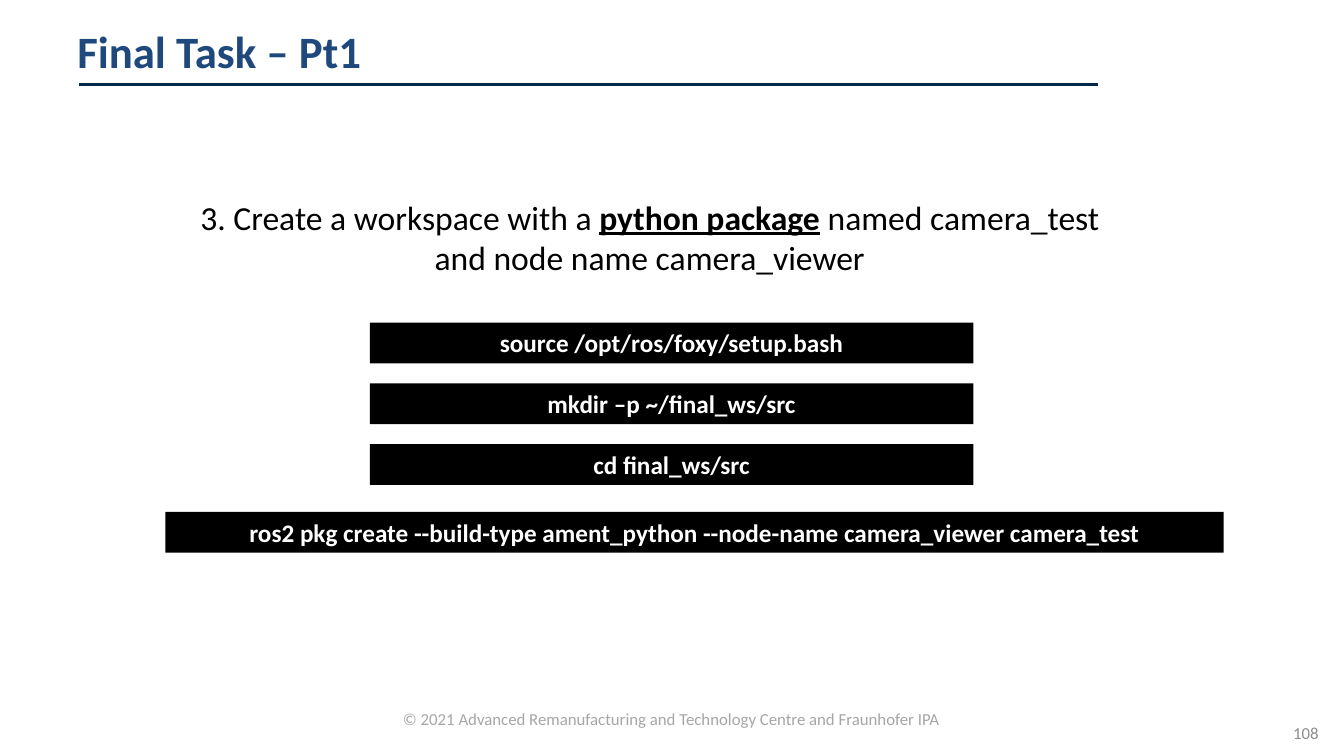
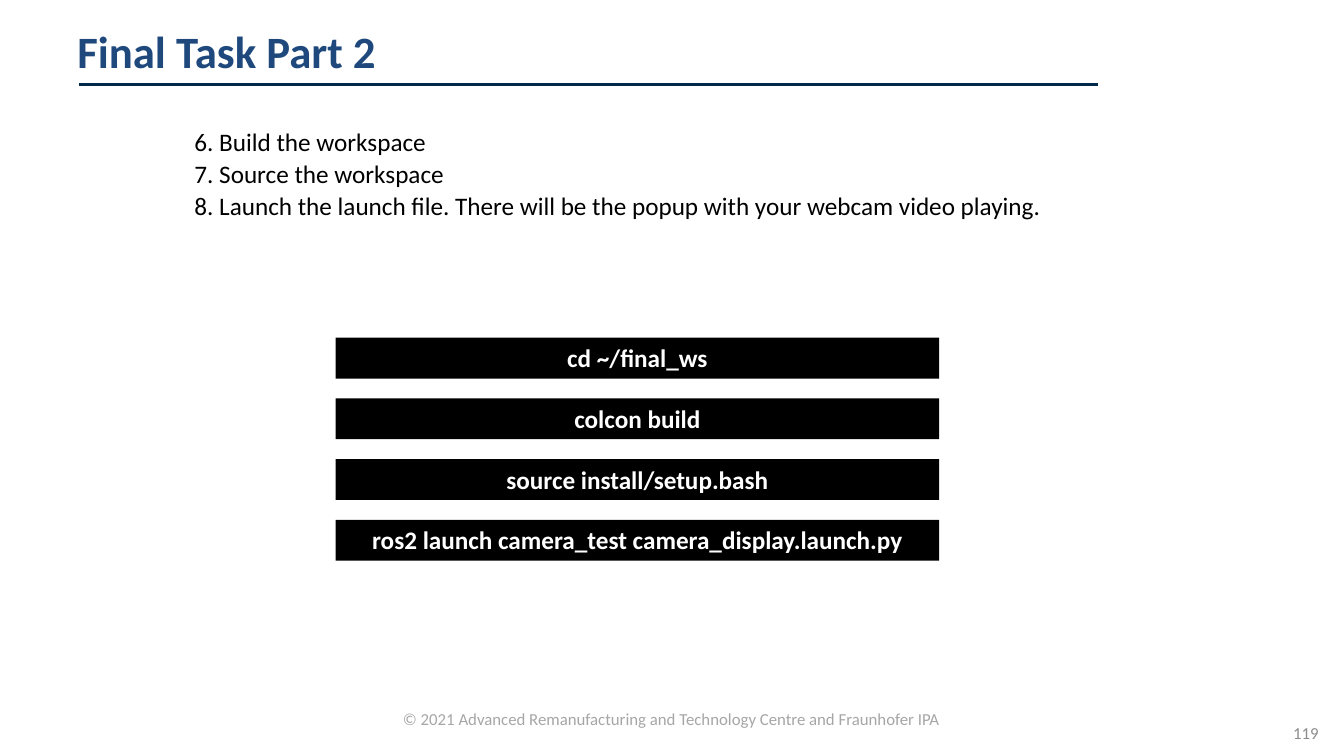
from dataclasses import dataclass

from lxml import etree
from pptx import Presentation
from pptx.dml.color import RGBColor
from pptx.enum.shapes import MSO_CONNECTOR, MSO_SHAPE
from pptx.enum.text import MSO_ANCHOR, PP_ALIGN
from pptx.oxml.ns import qn
from pptx.util import Cm, Pt

LEFT, CENTER, RIGHT = PP_ALIGN.LEFT, PP_ALIGN.CENTER, PP_ALIGN.RIGHT
TOP, MIDDLE = MSO_ANCHOR.TOP, MSO_ANCHOR.MIDDLE
RECT, STRAIGHT = MSO_SHAPE.RECTANGLE, MSO_CONNECTOR.STRAIGHT


@dataclass(frozen=True)
class Theme:
    font: str = "Calibri"
    title: RGBColor = RGBColor(0x1F, 0x49, 0x7D)
    rule: RGBColor = RGBColor(0x02, 0x29, 0x4A)
    ink: RGBColor = RGBColor(0, 0, 0)
    paper: RGBColor = RGBColor(0xFF, 0xFF, 0xFF)
    footer: RGBColor = RGBColor(0xA6, 0xA6, 0xA6)
    number: RGBColor = RGBColor(0x8C, 0x8C, 0x8C)
    title_size: int = 32
    task_size: int = 24
    body_size: int = 18
    small_size: int = 12


THEME = Theme()
FOOTER = "© 2021 Advanced Remanufacturing and Technology Centre and Fraunhofer IPA"
BAR_WIDTH, BAR_HEIGHT, BAR_PITCH = 15.21, 1.03, 1.53


def set_attrs(obj, values):
    for name, value in values.items():
        setattr(obj, name, value)


def write(sp, paragraphs, size, color, bold=False, align=LEFT, anchor=TOP, **spacing):
    tf = sp.text_frame
    set_attrs(tf, {"word_wrap": True, "vertical_anchor": anchor})
    for i, runs in enumerate(paragraphs):
        p = tf.add_paragraph() if i else tf.paragraphs[0]
        set_attrs(p, {"alignment": align, **spacing})
        for text, extra in runs:
            r = p.add_run()
            r.text = text
            set_attrs(r.font, {"name": THEME.font, "size": Pt(size), "bold": bold, **extra})
            r.font.color.rgb = color


def plain(*lines):
    return [[(line, {})] for line in lines]


def add_text(s, box, paragraphs, size, color, **style):
    sp = s.shapes.add_textbox(*map(Cm, box))
    write(sp, paragraphs, size, color, **style)


def add_rule(s, left, right, y):
    sp = s.shapes.add_connector(STRAIGHT, Cm(left), Cm(y), Cm(right), Cm(y))
    sp.line.color.rgb = THEME.rule
    sp.line.width = Pt(1.5)
    etree.SubElement(sp._element.spPr, qn("a:effectLst"))


def add_command(s, left, top, command, width=BAR_WIDTH):
    sp = s.shapes.add_shape(RECT, *map(Cm, (left, top, width, BAR_HEIGHT)))
    sp.shadow.inherit = False
    sp.fill.solid()
    sp.fill.fore_color.rgb = THEME.ink
    sp.line.fill.background()
    write(sp, plain(command), THEME.body_size, THEME.paper, bold=True, align=CENTER)


def add_commands(s, left, top, commands):
    for i, command in enumerate(commands):
        add_command(s, left, top + i * BAR_PITCH, command)


def add_slide(prs, title, number):
    s = prs.slides.add_slide(prs.slide_layouts[6])
    add_rule(s, 2, 27.66, 2.13)
    add_text(s, (1.8, 17.73, 30.25, 0.77), plain(FOOTER), THEME.small_size,
             THEME.footer, align=CENTER)
    add_text(s, (1.7, 0.43, 25.96, 1.7), plain(title), THEME.title_size,
             THEME.title, bold=True, anchor=MIDDLE)
    add_text(s, (31.83, 18.14, 1.65, 0.64), plain(str(number)), THEME.small_size,
             THEME.number, align=RIGHT, anchor=MIDDLE)
    return s


def build_workspace_slide(prs):
    s = add_slide(prs, "Final Task – Pt1", 108)
    task = [
        ("3. Create a workspace with a ", {}),
        ("python package", {"bold": True, "underline": True}),
        (" named camera_test and node name camera_viewer", {}),
    ]
    add_text(s, (4.5, 4.83, 23.75, 2.31), [task], THEME.task_size, THEME.ink, align=CENTER)
    add_commands(s, 9.32, 8.13, [
        "source /opt/ros/foxy/setup.bash",
        "mkdir –p ~/final_ws/src",
        "cd final_ws/src",
    ])
    add_command(s, 4.17, 12.9,
                "ros2 pkg create --build-type ament_python --node-name camera_viewer camera_test",
                width=26.67)


def build_launch_slide(prs):
    s = add_slide(prs, "Final Task Part 2", 119)
    steps = plain(
        "6. Build the workspace",
        "7. Source the workspace",
        "8. Launch the launch file. There will be the popup with your webcam video playing.",
    )
    add_text(s, (4.65, 3, 22.86, 2.69), steps, THEME.body_size, THEME.ink, line_spacing=1.07)
    add_commands(s, 8.46, 8.51, [
        "cd ~/final_ws",
        "colcon build",
        "source install/setup.bash",
        "ros2 launch camera_test camera_display.launch.py",
    ])


def main():
    prs = Presentation()
    set_attrs(prs, {"slide_width": Cm(33.87), "slide_height": Cm(19.05)})
    build_workspace_slide(prs)
    build_launch_slide(prs)
    prs.save("out.pptx")


if __name__ == "__main__":
    main()
